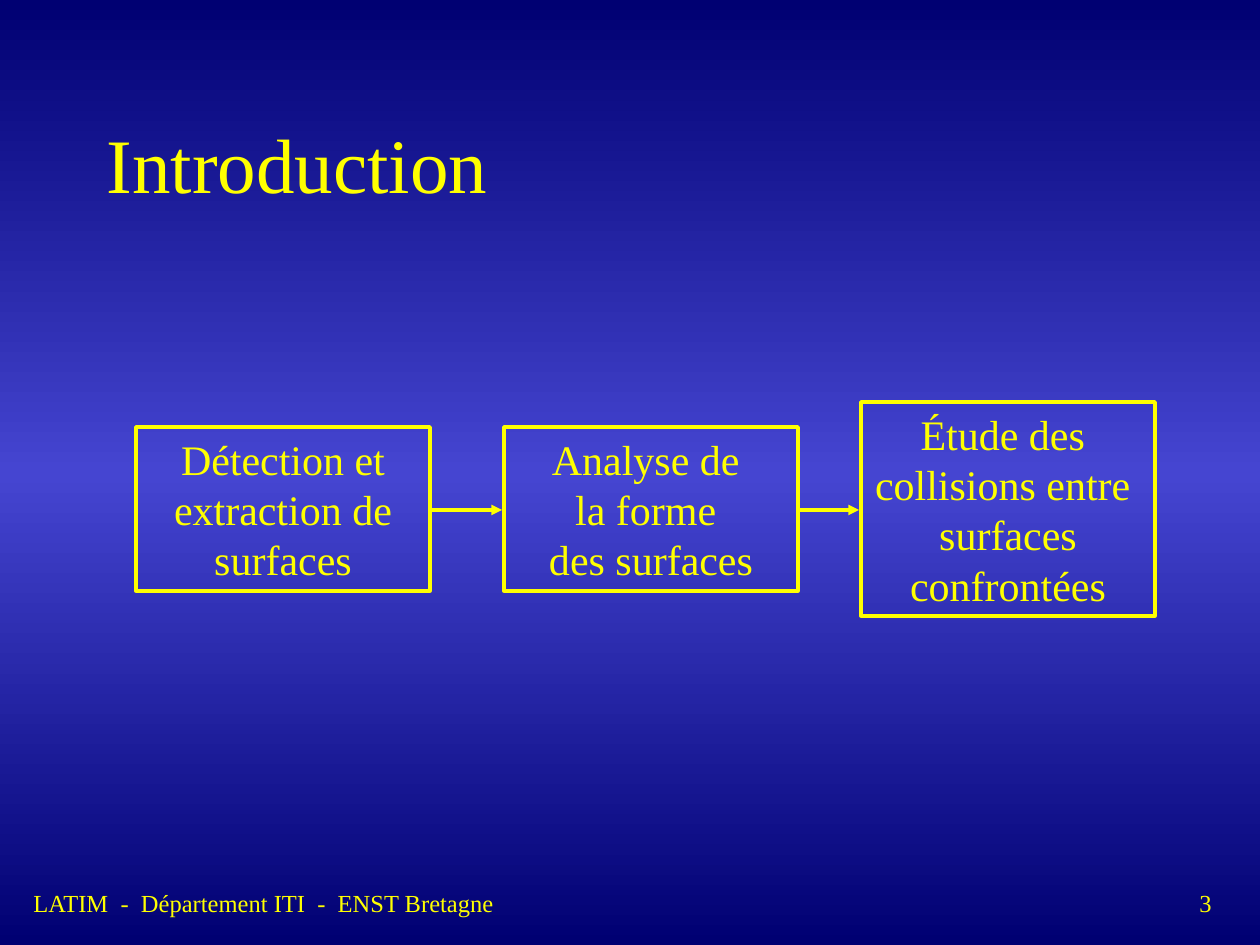
from copy import deepcopy

from pptx import Presentation
from pptx.dml.color import RGBColor
from pptx.enum.shapes import MSO_CONNECTOR as Connector, MSO_SHAPE as Shape
from pptx.enum.text import MSO_ANCHOR as Anchor, MSO_AUTO_SIZE as AutoSize, PP_ALIGN as Align
from pptx.oxml.ns import qn
from pptx.oxml.xmlchemy import OxmlElement
from pptx.util import Emu, Pt

PX_PER_INCH = 126
FONT = "Times New Roman"
YELLOW = RGBColor(0xFF, 0xFF, 0x00)
NAVY = RGBColor(0x00, 0x00, 0x72)
VIOLET = RGBColor(0x45, 0x45, 0xD1)

STEP_WIDTH = 294
STEP_MIDDLE = 509
ARROW_Y = 510
STEPS = [
    (136, 164, ["Détection et extraction de surfaces"]),
    (504, 164, ["Analyse de ", "la forme ", "des surfaces"]),
    (861, 214, ["Étude des ", "collisions entre ", "surfaces confrontées"]),
]


def px(length):
    return Emu(round(length * 914400 / PX_PER_INCH))


def paint_background(slide):
    fill = slide.background.fill
    fill.gradient()
    fill.gradient_angle = 90
    stops = slide.element.find(".//" + qn("a:gsLst"))
    stops.insert(1, deepcopy(stops[0]))
    for stop, position, color in zip(fill.gradient_stops, (0, 0.5, 1), (NAVY, VIOLET, NAVY)):
        stop.position = position
        stop.color.rgb = color


def write(shape, lines, size, align=Align.LEFT, anchor=Anchor.TOP):
    frame = shape.text_frame
    frame.text = "\n".join(lines)
    frame.word_wrap = True
    frame.auto_size = AutoSize.NONE
    frame.vertical_anchor = anchor
    for paragraph in frame.paragraphs:
        paragraph.alignment = align
        paragraph.font.name = FONT
        paragraph.font.size = Pt(size)
        paragraph.font.color.rgb = YELLOW


def set_title(slide, text):
    title = slide.shapes.title
    title.left, title.top, title.width, title.height = map(px, (94, 84, 1071, 158))
    write(title, [text], 44, anchor=Anchor.MIDDLE)


def add_footer(slide, left, width, text):
    footer = slide.shapes.add_textbox(px(left), px(882), px(width), px(43))
    write(footer, [text], 14)


def draw_line(line):
    line.color.rgb = YELLOW
    line.width = Pt(2)


def add_step(slide, left, height, lines):
    step = slide.shapes.add_shape(
        Shape.RECTANGLE, px(left), px(STEP_MIDDLE - height / 2), px(STEP_WIDTH), px(height))
    step.shadow.inherit = False
    step.fill.background()
    draw_line(step.line)
    write(step, lines, 24, Align.CENTER)


def add_arrow(slide, start, end):
    arrow = slide.shapes.add_connector(
        Connector.STRAIGHT, px(start), px(ARROW_Y), px(end), px(ARROW_Y))
    draw_line(arrow.line)
    head = OxmlElement("a:tailEnd")
    head.set("type", "triangle")
    arrow.line._get_or_add_ln().append(head)
    arrow._element.spPr.append(OxmlElement("a:effectLst"))


def main():
    deck = Presentation()
    deck.slide_width, deck.slide_height = px(1260), px(945)
    slide = deck.slides.add_slide(deck.slide_layouts[5])
    paint_background(slide)
    add_footer(slide, 1187, 73, "3")
    add_footer(slide, 21, 903, "LATIM  -  Département ITI  -  ENST Bretagne")
    set_title(slide, "Introduction")
    for left, height, lines in STEPS:
        add_step(slide, left, height, lines)
    for (left, _, _), (next_left, _, _) in zip(STEPS, STEPS[1:]):
        add_arrow(slide, left + STEP_WIDTH + 2, next_left - 2)
    deck.save("out.pptx")


if __name__ == "__main__":
    main()
